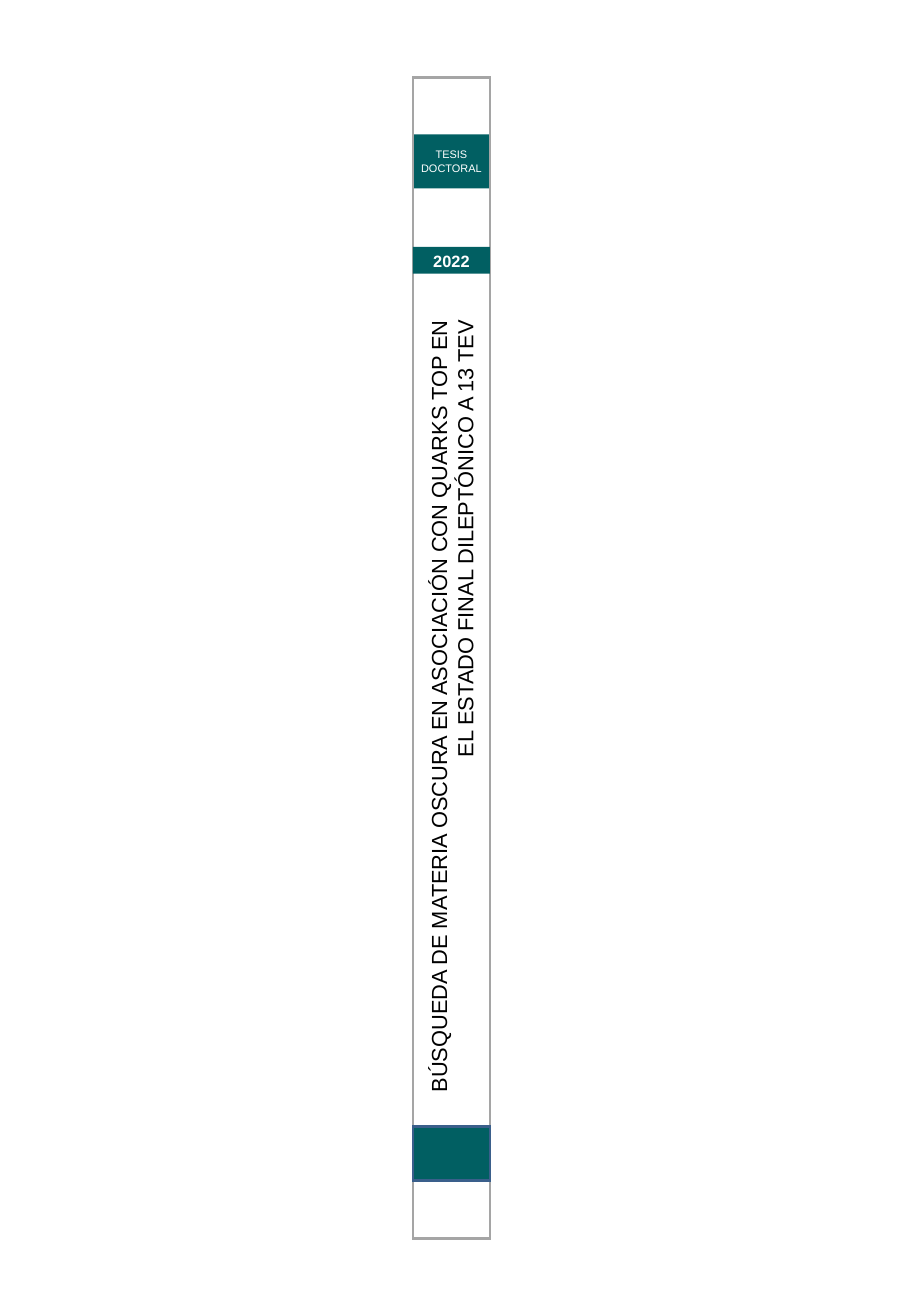
"""Build the spine of a doctoral thesis as a single slide."""
from lxml import etree
from pptx import Presentation
from pptx.dml.color import RGBColor
from pptx.enum.shapes import MSO_SHAPE
from pptx.enum.text import MSO_ANCHOR, PP_ALIGN
from pptx.oxml.ns import qn
from pptx.util import Cm, Pt

RECT = MSO_SHAPE.RECTANGLE
TOP, MIDDLE = MSO_ANCHOR.TOP, MSO_ANCHOR.MIDDLE
CENTER, RIGHT = PP_ALIGN.CENTER, PP_ALIGN.RIGHT

COLORS = {"teal": "015F62", "gray": "A5A5A5", "blue": "3A5F8B",
          "white": "FFFFFF", "black": "000000"}
LEFT, WIDTH = 10.67, 1.99
TITLE = ("BÚSQUEDA DE MATERIA OSCURA EN ASOCIACIÓN CON QUARKS TOP EN "
         "EL ESTADO FINAL DILEPTÓNICO A 13 TEV")


def color(name):
    """Return the named palette color."""
    return RGBColor.from_string(COLORS[name])


def write(frame, text, size, ink="white", bold=False, align=CENTER, after=0):
    """Put formatted text in the first paragraph of a frame."""
    para = frame.paragraphs[0]
    para.alignment = align
    para.space_after = Pt(after)
    run = para.add_run()
    run.text = text
    font = run.font
    font.name, font.size, font.bold = "Arial", Pt(size), bold
    font.color.rgb = color(ink)


class Spine:
    """Hold the slide and draw the parts of the spine."""

    def __init__(self, slide):
        """Keep the slide to draw on."""
        self.slide = slide

    def band(self, top, height, fill=None, line=None):
        """Draw a rectangle across the spine."""
        box = self.slide.shapes.add_shape(
            RECT, Cm(LEFT), Cm(top), Cm(WIDTH), Cm(height))
        box.shadow.inherit = False
        if fill:
            box.fill.solid()
            box.fill.fore_color.rgb = color(fill)
        else:
            box.fill.background()
        if line:
            box.line.color.rgb = color(line)
            box.line.width = Pt(2)
            edge = box.element.spPr.find(qn("a:ln"))
            etree.SubElement(edge, qn("a:miter"), lim="800000")
        else:
            box.line.fill.background()

    def label(self, text, left, top, width, height, turn=0, anchor=TOP, **style):
        """Add a wrapped text box, turned if asked."""
        box = self.slide.shapes.add_textbox(
            Cm(left), Cm(top), Cm(width), Cm(height))
        box.rotation = turn
        frame = box.text_frame
        frame.word_wrap = True
        frame.vertical_anchor = anchor
        write(frame, text, **style)


def main():
    """Build and save the slide."""
    deck = Presentation()
    deck.slide_width = Cm(23.2)
    deck.slide_height = Cm(34)
    spine = Spine(deck.slides.add_slide(deck.slide_layouts[6]))
    spine.band(3.47, 1.4, fill="teal")
    spine.band(2, 30, line="gray")
    spine.label("TESIS DOCTORAL", 10.56, 3.7, 2.21, 0.91, size=8)
    spine.band(6.38, 0.69, fill="teal")
    spine.label("2022", 10.56, 6.37, 2.21, 0.76, size=12, bold=True)
    spine.label(TITLE, 1.25, 17.64, 20.83, 1.6, turn=270, anchor=MIDDLE,
                size=16, ink="black", align=RIGHT, after=12)
    spine.band(29.11, 1.4, fill="teal", line="blue")
    deck.save("out.pptx")


if __name__ == "__main__":
    main()
